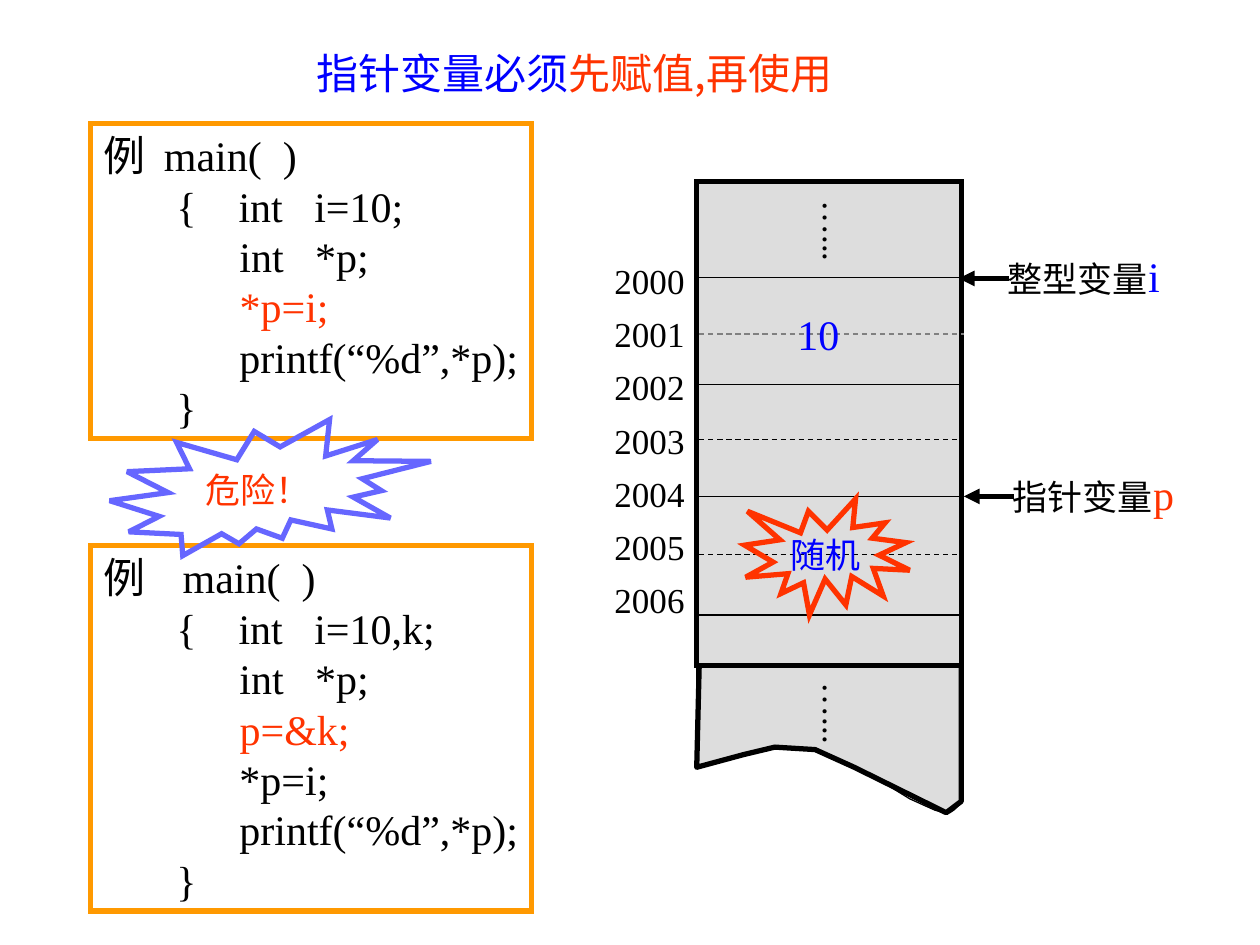
"""Slide on assigning a pointer variable before using it."""
from lxml import etree
from pptx import Presentation
from pptx.dml.color import RGBColor
from pptx.enum import dml, shapes, text
from pptx.oxml.ns import qn
from pptx.util import Emu, Pt

PX = 9144
SERIF, SANS = "Times New Roman", "Noto Sans CJK SC"
COLORS = {"black": "000000", "blue": "0000FF", "red": "FF3300", "orange": "FF9900",
          "violet": "6666FF", "gray": "DDDDDD", "dim": "808080"}
LEFT, CENTER = text.PP_ALIGN.LEFT, text.PP_ALIGN.CENTER
MIDDLE, TOP = text.MSO_ANCHOR.MIDDLE, text.MSO_ANCHOR.TOP
SHAPE = shapes.MSO_SHAPE


def outline(shape, color, width, fill=None, join="miter"):
    shape.shadow.inherit = False
    if fill:
        shape.fill.solid()
        shape.fill.fore_color.rgb = RGBColor.from_string(COLORS[fill])
    else:
        shape.fill.background()
    shape.line.color.rgb = RGBColor.from_string(COLORS[color])
    shape.line.width = Pt(width)
    etree.SubElement(shape.line._get_or_add_ln(), qn("a:" + join))


def write(shape, lines, align=CENTER, anchor=MIDDLE):
    frame = shape.text_frame
    frame.word_wrap = False
    frame.auto_size = text.MSO_AUTO_SIZE.SHAPE_TO_FIT_TEXT
    frame.vertical_anchor = anchor
    frame.margin_right = 0
    if align == CENTER:
        frame.margin_left = 0
    for index, spans in enumerate(lines):
        para = frame.add_paragraph() if index else frame.paragraphs[0]
        para.alignment = align
        for words, size, color, face in spans:
            span = para.add_run()
            span.text = words
            span.font.size = Pt(size)
            span.font.name = face
            span.font.color.rgb = RGBColor.from_string(COLORS[color])
            etree.SubElement(span.font._element, qn("a:ea"), typeface=SANS)


deck = Presentation()
deck.slide_width, deck.slide_height = Emu(1000 * PX), Emu(750 * PX)
page = deck.slides.add_slide(deck.slide_layouts[6])

INDENT = " " * 13
first_code = [
    [("例  ", "black", SANS), ("main(  )", "black", SERIF)],
    [("       {    int   i=10;", "black", SERIF)],
    [(INDENT + "int   *p;", "black", SERIF)],
    [(INDENT, "black", SERIF), ("*p=i;", "red", SERIF)],
    [(INDENT + "printf(“%d”,*p);", "black", SERIF)],
    [("       }", "black", SERIF)],
]
second_code = [
    [("例    main(  )", "black", SERIF)],
    [("       {    int   i=10,k;", "black", SERIF)],
    [(INDENT + "int   *p;", "black", SERIF)],
    [(INDENT, "black", SERIF), ("p=&k;", "red", SERIF)],
    [(INDENT + "*p=i;", "black", SERIF)],
    [(INDENT + "printf(“%d”,*p);", "black", SERIF)],
    [("       }", "black", SERIF)],
]
for top, height, code in [(98, 250, first_code), (433, 290, second_code)]:
    box = page.shapes.add_shape(SHAPE.RECTANGLE, 72 * PX, top * PX, 350 * PX, height * PX)
    outline(box, "orange", 3)
    write(box, [[(words, 24, color, face) for words, color, face in spans] for spans in code], LEFT)

danger = page.shapes.add_shape(SHAPE.EXPLOSION2, 87 * PX, 333 * PX, 255 * PX, 108 * PX)
outline(danger, "violet", 3)
write(danger, [[("危险！", 20, "red", SERIF)]])

curves = [[(553, 610), (580, 599), (608, 588), (640, 594)],
          [(640, 594), (671, 599), (721, 637), (742, 643)],
          [(742, 643), (763, 650), (760, 635), (763, 633)]]
torn_edge = [(553, 610)]
for curve in curves:
    for step in range(1, 9):
        t = step / 8
        weights = ((1 - t) ** 3, 3 * t * (1 - t) ** 2, 3 * t * t * (1 - t), t ** 3)
        torn_edge.append(tuple(round(sum(w * p[axis] for w, p in zip(weights, curve)))
                               for axis in (0, 1)))
torn_block = [(555, 528), (763, 528), (763, 636), (751, 645), (678, 609),
              (647, 595), (615, 593), (590, 599), (553, 609)]
for points, closed, width, fill in [(torn_edge, False, 0.75, None), (torn_block, True, 3, "gray")]:
    builder = page.shapes.build_freeform(*points[0], scale=PX)
    builder.add_line_segments(points[1:], close=closed)
    outline(builder.convert_to_shape(), "black", width, fill, "round")

memory = page.shapes.add_shape(SHAPE.RECTANGLE, 553 * PX, 144 * PX, 210 * PX, 384 * PX)
outline(memory, "black", 3, "gray")

rules = [(555, y, 765, y, color, 0.75, dashed) for y, color, dashed in [
    (220, "black", False), (265, "dim", True), (305, "black", False),
    (349, "black", True), (440, "black", True), (488, "black", False)]]
rules += [(553, 394, 763, 394, "black", 0.75, False),
          (553, 530, 553, 609, "black", 0.75, False),
          (763, 530, 763, 634, "black", 0.75, False),
          (801, 221, 761, 221, "black", 3, False),
          (805, 394, 765, 394, "black", 3, False)]
for x1, y1, x2, y2, color, width, dashed in rules:
    rule = page.shapes.add_connector(shapes.MSO_CONNECTOR.STRAIGHT,
                                     x1 * PX, y1 * PX, x2 * PX, y2 * PX)
    rule.line.color.rgb = RGBColor.from_string(COLORS[color])
    rule.line.width = Pt(width)
    if dashed:
        rule.line.dash_style = dml.MSO_LINE.DASH
    if width == 3:
        etree.SubElement(rule.line._get_or_add_ln(), qn("a:tailEnd"), type="triangle")
    etree.SubElement(rule._element.spPr, qn("a:effectLst"))

labels = [
    (230, 33, 452, 50, CENTER, MIDDLE,
     [("指针变量必须", 24, "blue", SANS), ("先赋值,再使用", 24, "red", SANS)]),
    (790, 194, 147, 50, LEFT, TOP, [("整型变量", 20, "black", SERIF), ("i", 24, "blue", SERIF)]),
    (794, 367, 154, 50, LEFT, TOP, [("指针变量", 20, "black", SERIF), ("p", 24, "red", SERIF)]),
    (623, 240, 53, 50, CENTER, MIDDLE, [("10", 24, "blue", SERIF)]),
    (618, 418, 75, 44, CENTER, MIDDLE, [("随机", 20, "blue", SERIF)]),
]
labels += [(478, 201 + round(row * 42.2), 75, 44, CENTER, MIDDLE,
            [(str(2000 + row), 20, "black", SERIF)]) for row in range(7)]
for left, top, width, height, align, anchor, spans in labels:
    box = page.shapes.add_textbox(left * PX, top * PX, width * PX, height * PX)
    write(box, [spans], align, anchor)

for top in (149, 532):
    dots = page.shapes.add_textbox(638 * PX, top * PX, 53 * PX, 59 * PX)
    write(dots, [[("…...", 20, "black", SERIF)]])
    frame = dots.text_frame
    frame.margin_left = frame.margin_right = 5 * PX
    frame.margin_top = frame.margin_bottom = 10 * PX
    frame._txBody.bodyPr.set("vert", "eaVert")

burst = page.shapes.add_shape(SHAPE.EXPLOSION1, 591 * PX, 396 * PX, 131 * PX, 92 * PX)
outline(burst, "red", 3)

deck.save("out.pptx")
